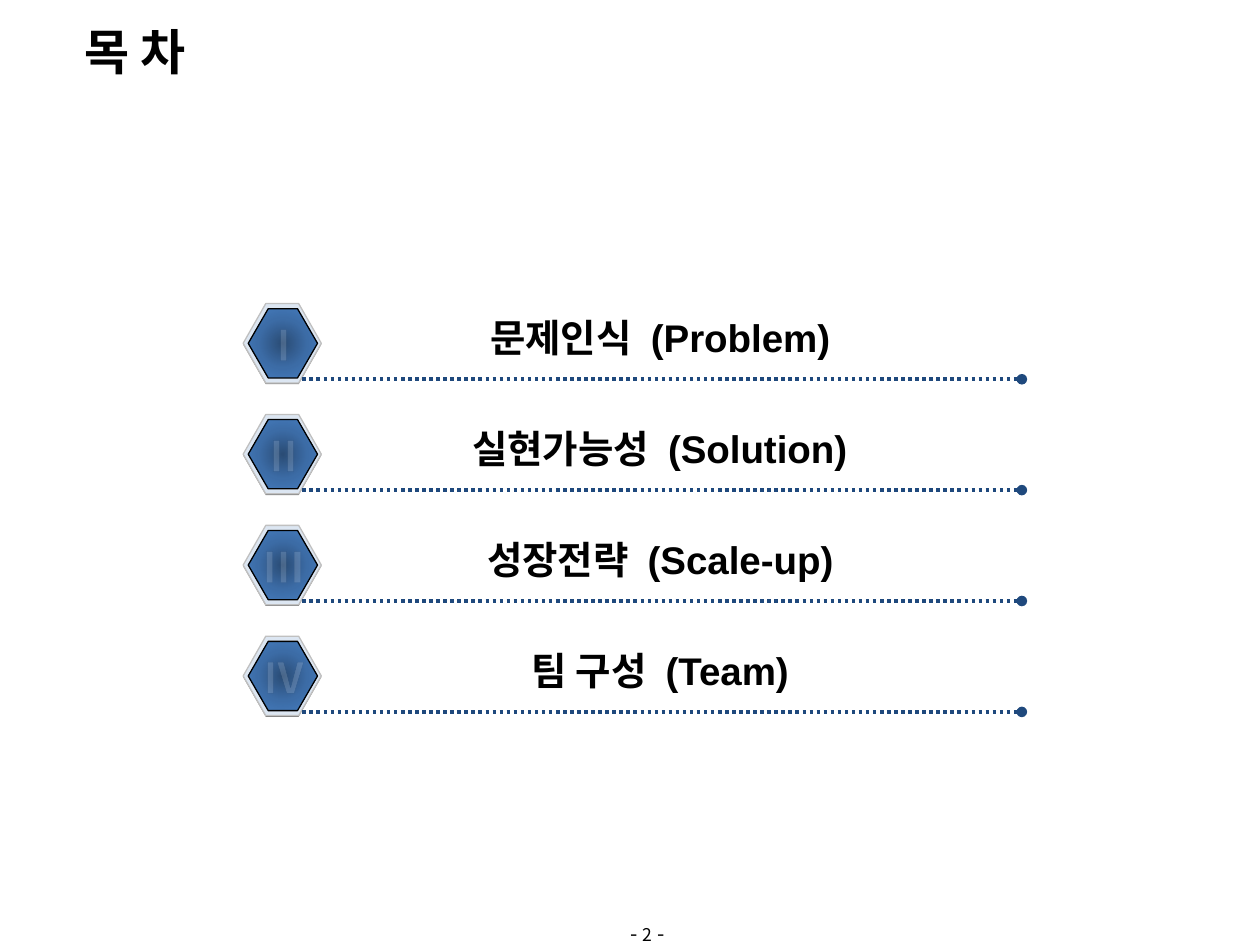
import pptx
import pptx.util
import pptx.dml.color
import pptx.enum.dml
import pptx.enum.shapes
import pptx.enum.text
import pptx.oxml
import pptx.oxml.ns

Inches = pptx.util.Inches
Pt = pptx.util.Pt
qn = pptx.oxml.ns.qn
ALIGN = pptx.enum.text.PP_ALIGN
KOREAN = "Noto Sans CJK KR"
XMLNS = 'xmlns:a="http://schemas.openxmlformats.org/drawingml/2006/main"'
ROW_GAP = 0.88
SECTIONS = [
    ("Ⅰ", "문제인식", "(Problem)", 3.74, 3.0),
    ("Ⅱ", "실현가능성", "(Solution)", 3.59, 3.29),
    ("Ⅲ", "성장전략", "(Scale-up)", 3.73, 3.02),
    ("Ⅳ", "팀 구성", "(Team)", 4.07, 2.34),
]


def color(value):
    """Turn a hex string into a colour."""
    return pptx.dml.color.RGBColor.from_string(value)


def xml(markup):
    """Parse a DrawingML fragment."""
    return pptx.oxml.parse_xml(markup.replace(">", f" {XMLNS}>", 1))


class Contents:
    """Holds the style and the current slide."""

    def __init__(self, deck):
        """Start a title-only page."""
        self.page = deck.slides.add_slide(deck.slide_layouts[5])

    def span(self, span, size, font, fill="000000", bold=True):
        """Format one run; bold runs also get the faint outline."""
        span.font.size = Pt(size)
        span.font.name = font
        span.font.bold = bold
        span.font.color.rgb = color(fill)
        properties = span.font._element
        east_asian = xml("<a:ea></a:ea>")
        east_asian.set("typeface", KOREAN)
        properties.find(qn("a:latin")).addnext(east_asian)
        if bold:
            properties.insert(0, xml(
                '<a:ln w="3175"><a:solidFill><a:srgbClr val="254061">'
                '<a:alpha val="15000"/></a:srgbClr></a:solidFill>'
                '<a:prstDash val="solid"/></a:ln>'))

    def frame(self, box, align, wrap=False):
        """Set the shared text layout and return the first paragraph."""
        frame = box.text_frame
        frame.word_wrap = wrap
        frame.auto_size = pptx.enum.text.MSO_AUTO_SIZE.NONE
        frame.vertical_anchor = pptx.enum.text.MSO_ANCHOR.MIDDLE
        frame.paragraphs[0].alignment = align
        return frame.paragraphs[0]

    def title(self, text, left, top, width, height):
        """Fill and place the title."""
        box = self.page.shapes.title
        box.left, box.top = Inches(left), Inches(top)
        box.width, box.height = Inches(width), Inches(height)
        box.text_frame.text = text
        para = self.frame(box, ALIGN.LEFT)
        self.span(para.runs[0], 28, KOREAN)

    def text(self, spans, left, top, width, height, font=KOREAN, **style):
        """Add one centred line made of (text, size) spans."""
        box = self.page.shapes.add_textbox(
            Inches(left), Inches(top), Inches(width), Inches(height))
        para = self.frame(box, ALIGN.CENTER)
        for words, size in spans:
            span = para.add_run()
            span.text = words
            self.span(span, size, font, **style)
        return para

    def hexagon(self, left, top, width, height, fill, line=None):
        """Add a hexagon with an optional thin border."""
        shape = self.page.shapes.add_shape(
            pptx.enum.shapes.MSO_SHAPE.HEXAGON,
            Inches(left), Inches(top), Inches(width), Inches(height))
        shape.shadow.inherit = False
        shape.adjustments[0] = 0.289
        shape.fill.solid()
        shape.fill.fore_color.rgb = color(fill)
        if line:
            shape.line.color.rgb = color(line)
            shape.line.width = Pt(0.75)
        else:
            shape.line.fill.background()
        return shape

    def glow(self, shape, stops):
        """Replace a plain fill with a circular gradient."""
        marks = "".join(
            f'<a:gs pos="{place * 1000}"><a:srgbClr val="{value}"/></a:gs>'
            for place, value in stops)
        solid = shape._element.spPr.find(qn("a:solidFill"))
        solid.getparent().replace(solid, xml(
            f'<a:gradFill rotWithShape="1"><a:gsLst>{marks}</a:gsLst>'
            '<a:path path="circle"><a:fillToRect l="50000" t="50000" '
            'r="50000" b="50000"/></a:path></a:gradFill>'))

    def rule(self, left, right, y):
        """Add a dotted line ending in a dot."""
        rule = self.page.shapes.add_connector(
            pptx.enum.shapes.MSO_CONNECTOR.STRAIGHT,
            Inches(left), Inches(y), Inches(right), Inches(y))
        rule.line.color.rgb = color("1F497D")
        rule.line.width = Pt(2)
        rule.line.dash_style = pptx.enum.dml.MSO_LINE.ROUND_DOT
        properties = rule._element.spPr
        properties.find(qn("a:ln")).append(
            xml('<a:tailEnd type="oval"></a:tailEnd>'))
        properties.append(xml("<a:effectLst></a:effectLst>"))

    def section(self, row, numeral, korean, english, left, width):
        """Add one numbered section."""
        top = 2.41 + row * ROW_GAP
        para = self.text([(korean, 22), (" ", 22), (english, 22)],
                         left, top + 0.03, width, 0.47, "Arial")
        para.runs[1].font._element.set("spc", "600")
        self.hexagon(1.93, top + 0.01, 0.62, 0.63, "808080")
        self.hexagon(1.93, top, 0.62, 0.63, "DCE6F2", "C0C0C0")
        badge = self.hexagon(1.97, top + 0.04, 0.55, 0.55, "3C6CA6", "000000")
        self.glow(badge, [(0, "2A4C75"), (50, "3C6CA6"), (100, "4780C5")])
        self.text([(numeral, 24)], 1.98, top + 0.07, 0.54, 0.5, fill="FFFFFF")
        self.rule(2.4, 8.11, top + 0.6)


deck = pptx.Presentation()
deck.slide_width, deck.slide_height = Inches(10), Inches(7.5)
contents = Contents(deck)
contents.text([("- ", 12), ("2", 10), (" -", 12)],
              4.69, 7.26, 0.9, 0.3, bold=False)
contents.title("목 차", 0.57, 0.12, 1.13, 0.57)
for row, section in enumerate(SECTIONS):
    contents.section(row, *section)
deck.save("out.pptx")
